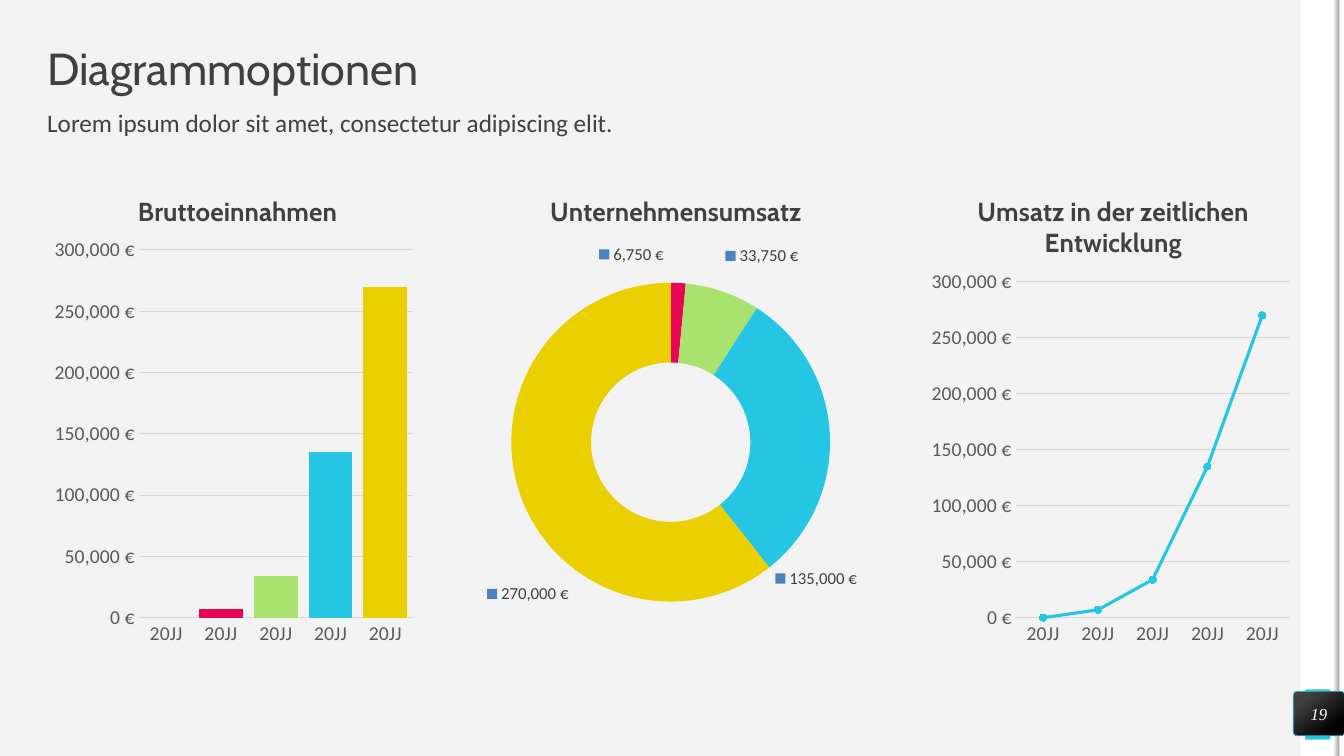
from lxml.etree import SubElement
from pptx import Presentation
from pptx.chart.data import CategoryChartData
from pptx.dml.color import RGBColor
from pptx.enum.chart import XL_CHART_TYPE, XL_MARKER_STYLE, XL_TICK_MARK
from pptx.enum.shapes import MSO_SHAPE
from pptx.enum.text import MSO_ANCHOR, PP_ALIGN
from pptx.oxml.ns import qn
from pptx.util import Cm, Pt

WHITE, DARK, GREY, RULE = "FFFFFF", "404040", "595959", "D9D9D9"
CYAN, GREEN, RED, YELLOW = "25C6E3", "A9E26F", "E80554", "EAD000"
YEAR_COLORS = [GREEN, RED, GREEN, CYAN, YELLOW]
EURO = r"#,##0\ [$€-407]"
YEARS = ["20JJ"] * 5
REVENUE = [0, 7000, 34000, 135000, 270000]
SALES = [0, 6750, 33750, 135000, 270000]


def rgb(code):
    return RGBColor.from_string(code)


def paint(fill, color):
    fill.solid()
    fill.fore_color.rgb = rgb(color)


def style_font(font, name, size, color, bold=False, italic=False):
    font.name, font.size, font.bold, font.italic = name, Pt(size), bold, italic
    font.color.rgb = rgb(color)


def place(parent, index, **fractions):
    for old in parent.findall(qn("c:layout")):
        parent.remove(old)
    layout = SubElement(parent, qn("c:layout"))
    parent.insert(index, layout)
    manual = SubElement(layout, qn("c:manualLayout"))
    for key, value in fractions.items():
        SubElement(manual, qn(f"c:{key}")).set("val", str(value))


class ChartSlide:
    """Draws the styled elements of one slide."""

    heading, body = "Cabin", "Calibri"

    def __init__(self, deck):
        self.slide = deck.slides.add_slide(deck.slide_layouts[6])
        paint(self.slide.background.fill, "F2F2F2")

    def set_text(self, frame, text, name, size, color, anchor=MSO_ANCHOR.TOP, italic=False):
        frame.margin_left = frame.margin_right = frame.margin_top = frame.margin_bottom = 0
        frame.word_wrap, frame.vertical_anchor = True, anchor
        paragraph = frame.paragraphs[0]
        paragraph.text = text
        style_font(paragraph.font, name, size, color, italic=italic)
        return paragraph

    def text(self, top, height, text, name, size, anchor):
        box = self.slide.shapes.add_textbox(Cm(1.19), Cm(top), Cm(31.47), Cm(height))
        self.set_text(box.text_frame, text, name, size, DARK, anchor).line_spacing = 0.9

    def block(self, bounds, color=None, corner=None, gradient=None, angle=0):
        kind = MSO_SHAPE.RECTANGLE if corner is None else MSO_SHAPE.ROUNDED_RECTANGLE
        block = self.slide.shapes.add_shape(kind, *map(Cm, bounds))
        block.shadow.inherit = False
        block.line.fill.background()
        if corner is not None:
            block.adjustments[0] = corner
        if gradient:
            block.fill.gradient()
            block.fill.gradient_angle = angle
            for stop, (position, shade) in zip(block.fill.gradient_stops, gradient):
                stop.position, stop.color.rgb = position, rgb(shade)
        else:
            paint(block.fill, color)
        return block

    def page_number(self, number):
        badge = self.block((32.59, 17.42, 1.3, 1.12), corner=0.095,
                           gradient=[(0.2, DARK), (0.82, "000000")], angle=310)
        paint(badge.line.fill, CYAN)
        badge.line.width = Pt(0.5)
        paragraph = self.set_text(badge.text_frame, number, "Times New Roman", 12, WHITE,
                                  MSO_ANCHOR.MIDDLE, italic=True)
        paragraph.alignment = PP_ALIGN.CENTER

    def chart(self, column, kind, title, title_x, plot_box, categories, values):
        data = CategoryChartData()
        data.categories = categories
        data.add_series("Series 1", values)
        chart = self.slide.shapes.add_chart(
            kind, Cm(1.19 + 11.05 * column), Cm(4.19), Cm(9.42), Cm(12.34), data).chart
        style_font(chart.font, self.body, 10, "000000")
        chart.has_legend = False
        chart.has_title = True
        heading = chart.chart_title.text_frame.paragraphs[0]
        heading.text = title
        style_font(heading.font, self.heading, 18.6, DARK, bold=True)
        place(chart.chart_title._element, 1, xMode="edge", yMode="edge", x=title_x, y=0.045)
        x, y, w, h = plot_box
        place(chart._chartSpace.chart.plotArea, 0, layoutTarget="inner",
              xMode="edge", yMode="edge", x=x, y=y, w=w, h=h)
        chart.plots[0].vary_by_categories = False
        return chart

    def axes(self, chart):
        for axis in (chart.category_axis, chart.value_axis):
            axis.major_tick_mark = axis.minor_tick_mark = XL_TICK_MARK.NONE
            style_font(axis.tick_labels.font, self.body, 14, GREY)
        amounts = chart.value_axis
        amounts.minimum_scale, amounts.maximum_scale, amounts.major_unit = 0, 300000, 50000
        amounts.tick_labels.number_format = EURO
        amounts.tick_labels.number_format_is_linked = False
        amounts.format.line.fill.background()
        amounts.has_major_gridlines = True
        for line in (chart.category_axis.format.line, amounts.major_gridlines.format.line):
            paint(line.fill, RULE)
            line.width = Pt(0.75)

    def color_points(self, series):
        for index, color in enumerate(YEAR_COLORS):
            look = series.points[index].format
            paint(look.fill, color)
            look.line.fill.background()

    def columns(self, *content):
        chart = self.chart(0, XL_CHART_TYPE.COLUMN_CLUSTERED, *content)
        self.axes(chart)
        chart.plots[0].gap_width = 25
        series = chart.plots[0].series[0]
        paint(series.format.fill, GREEN)
        self.color_points(series)

    def doughnut(self, *content, label_offsets):
        chart = self.chart(1, XL_CHART_TYPE.DOUGHNUT, *content)
        plot = chart.plots[0]
        plot._element.find(qn("c:holeSize")).set("val", "84")
        series = plot.series[0]
        self.color_points(series)
        labels = series.data_labels
        labels.show_value = False
        labels.number_format, labels.number_format_is_linked = EURO, False
        style_font(labels.font, self.body, 12, DARK)
        for leader in labels._element.findall(qn("c:showLeaderLines")):
            leader.set("val", "0")
        for index in label_offsets:
            style_font(series.points[index].data_label.font, self.body, 12, DARK)
        for label in labels._element.findall(qn("c:dLbl")):
            x, y = label_offsets[int(label.find(qn("c:idx")).get("val"))]
            place(label, 1, x=x, y=y)
            number = SubElement(label, qn("c:numFmt"), formatCode=EURO, sourceLinked="0")
            label.insert(2, number)
            label.find(qn("c:showLegendKey")).set("val", "1")

    def trend(self, *content):
        chart = self.chart(2, XL_CHART_TYPE.LINE_MARKERS_STACKED, *content)
        self.axes(chart)
        series = chart.plots[0].series[0]
        series.smooth = False
        paint(series.format.line.fill, CYAN)
        series.format.line.width = Pt(2.25)
        series.marker.style, series.marker.size = XL_MARKER_STYLE.CIRCLE, 5
        paint(series.marker.format.fill, CYAN)
        paint(series.marker.format.line.fill, CYAN)


def main():
    deck = Presentation()
    deck.slide_width, deck.slide_height = Cm(33.87), Cm(19.05)
    page = ChartSlide(deck)
    page.block((32.77, 0, 0.99, 19.05), WHITE)
    page.block((32.89, 17.37, 0.64, 1.27), CYAN, corner=0.074)
    page.block((33.74, 0, 0.13, 19.05), WHITE)
    page.block((33.62, 0, 0.13, 19.05), gradient=[(0, "F2F2F2"), (1, "A6A6A6")])
    page.text(1.19, 1.19, "Diagrammoptionen", page.heading, 32, MSO_ANCHOR.MIDDLE)
    page.text(2.79, 0.99, "Lorem ipsum dolor sit amet, consectetur adipiscing elit.",
              page.body, 18, MSO_ANCHOR.TOP)
    page.columns("Bruttoeinnahmen", 0.23, (0.245, 0.171, 0.733, 0.751), YEARS, REVENUE)
    page.doughnut("Unternehmensumsatz", 0.16, (0.067, 0.238, 0.856, 0.651),
                  ["1", "2", "3", "4", "5"], SALES,
                  label_offsets={1: (-0.12, -0.14), 2: (0.14, -0.15),
                                 3: (0.07, 0.29), 4: (-0.08, 0.23)})
    page.trend("Umsatz in der zeitlichen Entwicklung", 0.13,
               (0.245, 0.236, 0.733, 0.686), YEARS, REVENUE)
    page.page_number("19")
    deck.save("out.pptx")


if __name__ == "__main__":
    main()
